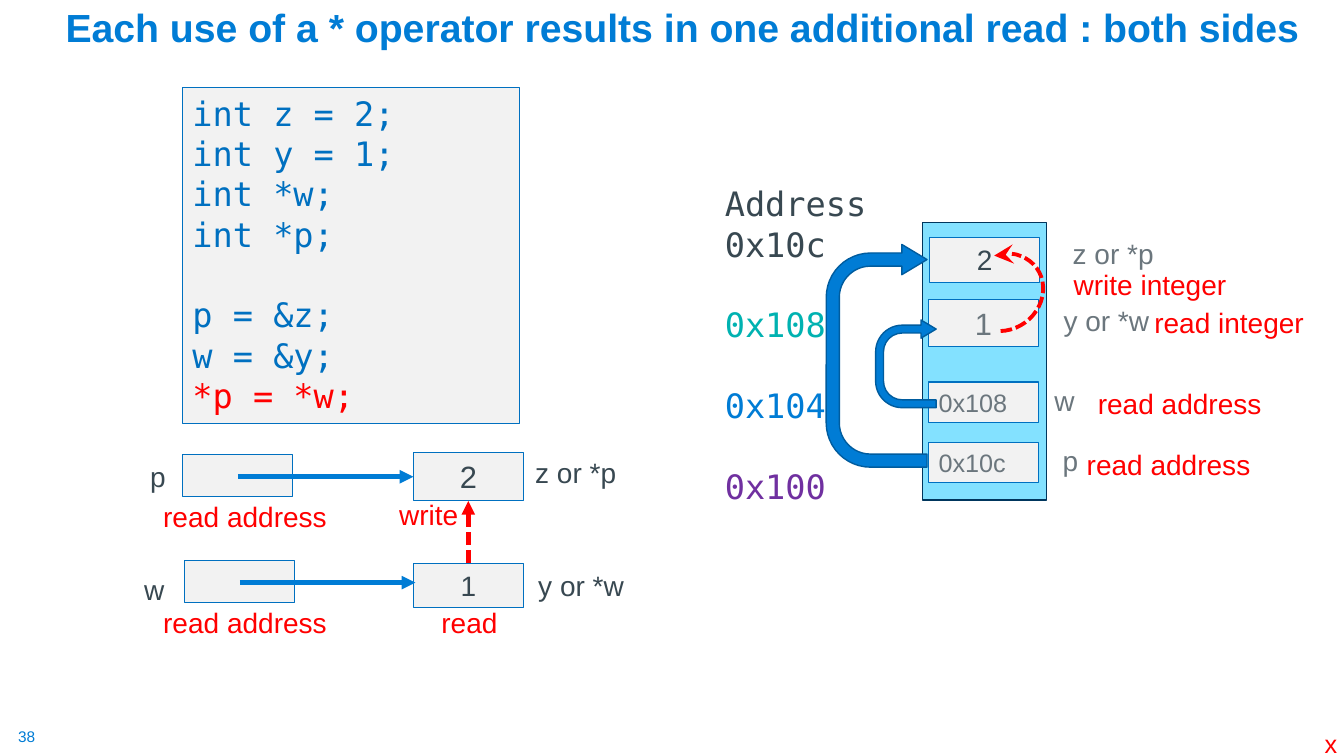
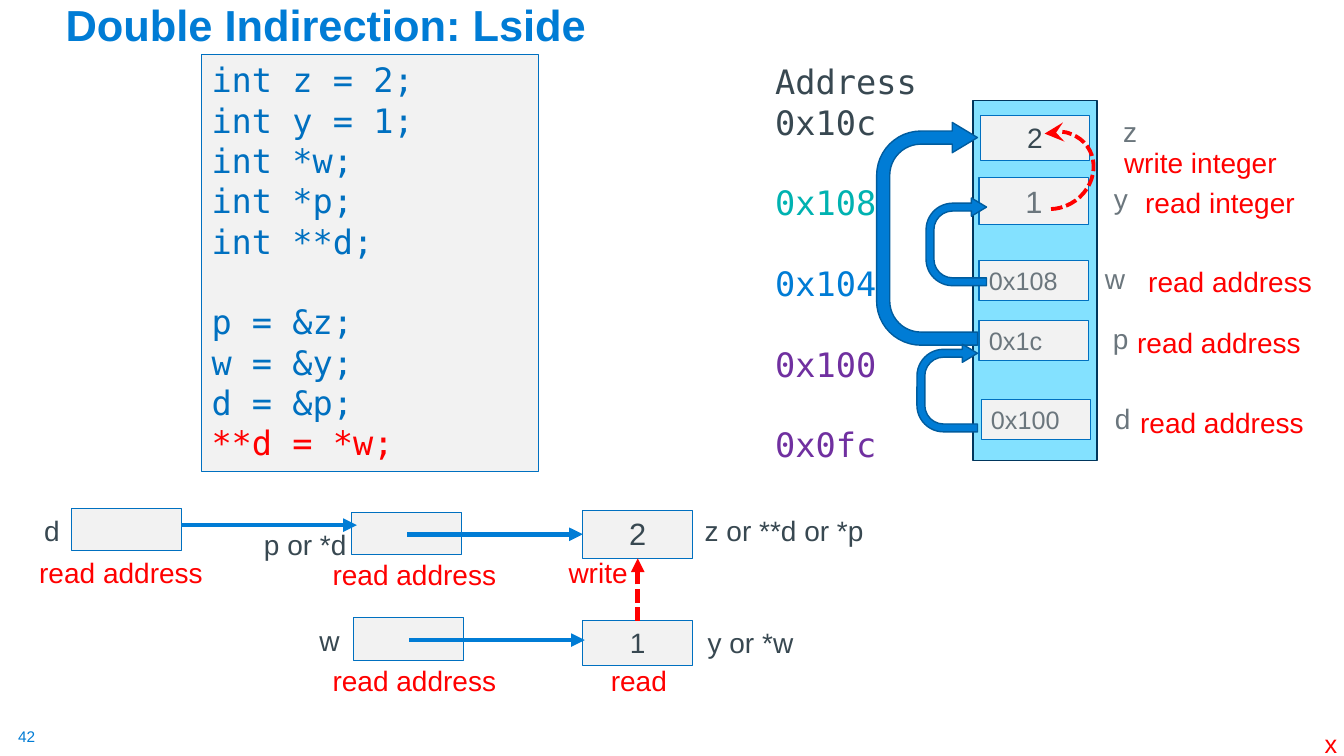
from lxml import etree
from pptx import Presentation
from pptx.dml.color import RGBColor
from pptx.enum.dml import MSO_LINE
from pptx.enum.shapes import MSO_CONNECTOR, MSO_SHAPE
from pptx.enum.text import MSO_ANCHOR, MSO_AUTO_SIZE, PP_ALIGN
from pptx.oxml.ns import qn
from pptx.util import Emu, Pt

RECT, ARC, UTURN = MSO_SHAPE.RECTANGLE, MSO_SHAPE.ARC, MSO_SHAPE.U_TURN_ARROW
STRAIGHT, DASH = MSO_CONNECTOR.STRAIGHT, MSO_LINE.SQUARE_DOT
TOP, BOTTOM = MSO_ANCHOR.TOP, MSO_ANCHOR.BOTTOM
LEFT, CENTER = PP_ALIGN.LEFT, PP_ALIGN.CENTER
NO_FIT = MSO_AUTO_SIZE.NONE

BLUE = RGBColor(0x00, 0x7C, 0xD5)
DEEP = RGBColor(0x00, 0x5C, 0x9E)
NAVY = RGBColor(0x00, 0x36, 0x5D)
EDGE = RGBColor(0x00, 0x70, 0xC0)
SKY = RGBColor(0x83, 0xE1, 0xFF)
PALE = RGBColor(0xF2, 0xF2, 0xF2)
RED = RGBColor(0xFF, 0x00, 0x00)
DARK = RGBColor(0x38, 0x48, 0x51)
GREY = RGBColor(0x6B, 0x76, 0x7D)
TEAL = RGBColor(0x00, 0xB2, 0xB1)
PURPLE = RGBColor(0x70, 0x30, 0xA0)

SANS, MONO = "Arial", "DejaVu Sans Mono"
PITCH = Pt(28.8)
CELL_W = 109
WIDTHS = {
    "read address": 184, "read integer": 170, "write integer": 173,
    "read": 76, "write": 79, "p": 36, "w": 41, "d": 36, "y": 34, "z": 34,
    "y or *w": 106, "z or *p": 101, "p or *d": 103, "z or **d or *p": 179,
}


def px(n):
    return Emu(n * 9144)


def box(*sides):
    return [px(n) for n in sides]


def style(para, size, color, font=SANS):
    para.font.size = Pt(size)
    para.font.name = font
    para.font.color.rgb = color


def text(shapes, words, x, y, w, h, size, color):
    frame = shapes.add_textbox(*box(x, y, w, h)).text_frame
    frame.text = words
    style(frame.paragraphs[0], size, color)
    return frame


def label(shapes, words, x, y, color):
    text(shapes, words, x, y, WIDTHS[words], 44, 20, color)


def solid(shapes, kind, x, y, w, h, fill, edge, weight):
    shape = shapes.add_shape(kind, *box(x, y, w, h))
    shape.shadow.inherit = False
    shape.fill.solid()
    shape.fill.fore_color.rgb = fill
    shape.line.color.rgb = edge
    shape.line.width = Pt(weight)
    shape.text_frame.vertical_anchor = TOP
    return shape


def cell(shapes, x, y, h, words="", size=18, color=GREY, align=CENTER):
    shape = solid(shapes, RECT, x, y, CELL_W, h, PALE, EDGE, 0.75)
    if words:
        shape.text_frame.text = words
        para = shape.text_frame.paragraphs[0]
        para.alignment = align
        style(para, size, color)
    return shape


def listing(frame, lines):
    """Fill a frame with (words, colour) lines; None leaves a line's gap."""
    para, gap = frame.paragraphs[0], False
    for line in lines:
        if line is None:
            gap = True
            continue
        if para.text:
            para = frame.add_paragraph()
        para.text, color = line
        para.alignment = LEFT
        para.line_spacing = PITCH
        if gap:
            para.space_before = PITCH
        gap = False
        style(para, 24, color, MONO)


def code(shapes, x, y, h, lines):
    """Show code whose last line is the one in focus."""
    shape = solid(shapes, RECT, x, y, 334, h, PALE, EDGE, 0.75)
    rows = [line and (line, EDGE) for line in lines[:-1]]
    listing(shape.text_frame, rows + [(lines[-1], RED)])


def stroke(shape, color, weight, head, size="med", dash=None):
    shape.line.color.rgb = color
    shape.line.width = Pt(weight)
    if dash:
        shape.line.dash_style = dash
    line = shape._element.spPr.find(qn("a:ln"))
    etree.SubElement(line, qn("a:tailEnd"), type=head, w=size, len=size)


def arrow(shapes, x1, y1, x2, y2, color=BLUE, dash=None):
    link = shapes.add_connector(STRAIGHT, *box(x1, y1, x2, y2))
    stroke(link, color, 3.25, "triangle", dash=dash)
    etree.SubElement(link._element.spPr, qn("a:effectLst"))
    return link


def turn(shape, angle, *flips):
    shape.rotation = angle
    for flip in flips:
        shape._element.spPr.find(qn("a:xfrm")).set(flip, "1")


def adjust(shape, *values):
    for i, value in enumerate(values):
        shape.adjustments[i] = value


def loop(shapes, x, y, w, h):
    """Bent block arrow from a pointer up to its target."""
    shape = solid(shapes, UTURN, x, y, w, h, BLUE, DEEP, 1)
    adjust(shape, 0.13, 0.15, 0.25, 0.44, 1)
    turn(shape, 90, "flipH", "flipV")


def curve(shapes, x, y):
    """Dashed arc from the value read up to the value written."""
    shape = shapes.add_shape(ARC, *box(x, y, 74, 82))
    shape.shadow.inherit = False
    shape.fill.background()
    adjust(shape, 84.2, 202.76)
    turn(shape, 54.1, "flipH")
    stroke(shape, RED, 2.75, "stealth", "lg", DASH)


def memory(shapes, x, y, h, names, target, note, extra=()):
    """Memory column with its cells, pointers, addresses and labels."""
    solid(shapes, RECT, x, y, 123, h, SKY, NAVY, 1)
    cell(shapes, x + 6, y + 158, 40, "0x108", align=LEFT)
    cell(shapes, x + 6, y + 76, 47, "1", 22)
    cell(shapes, x + 7, y + 15, 44, "2", 20, DARK)
    curve(shapes, x + 43, y + 28)
    loop(shapes, x - 60, y + 110, 87, 60)
    cell(shapes, x + 6, y + 218, 40, target, align=LEFT)
    loop(shapes, x - 156, y + 82, 221, 100)
    spots = ((139, 9), (130, 75), (121, 155), (129, 214))
    for name, (dx, dy) in zip(names, spots):
        label(shapes, name, x + dx, y + dy, GREY)
    notes = (("write integer", 140, 39), ("read integer", *note),
             ("read address", 164, 158), ("read address", 153, 218))
    for words, dx, dy in notes:
        label(shapes, words, x + dx, y + dy, RED)

    rows = [("Address", DARK), ("0x10c", DARK)]
    for row in (("0x108", TEAL), ("0x104", BLUE), ("0x100", PURPLE), *extra):
        rows += [None, row]
    frame = text(shapes, "", x - 206, y - 44, 169, 333 + 81 * len(extra),
                 24, DARK)
    listing(frame, rows)


def flow(shapes, x, y, tags):
    """Pointer cells p and w with the values they lead to."""
    cell(shapes, x, y, 42)
    cell(shapes, x + 2, y + 105, 42)
    two = cell(shapes, x + 229, y - 2, 48, "2", 22, DARK)
    one = cell(shapes, x + 229, y + 108, 44, "1", 20, DARK)
    arrow(shapes, x + 55, y + 22, x + 229, y + 22).end_connect(two, 1)
    arrow(shapes, x + 57, y + 127, x + 231, y + 127)
    copy = arrow(shapes, x + 283, y + 108, x + 283, y + 46, RED, DASH)
    copy.begin_connect(one, 0)
    copy.end_connect(two, 2)
    for words, dx, dy in (*tags, ("y or *w", 343, 108)):
        label(shapes, words, x + dx, y + dy, DARK)
    for words, dx, dy in (("read address", -29, 40), ("read address", -29, 145),
                          ("read", 247, 145), ("write", 205, 38)):
        label(shapes, words, x + dx, y + dy, RED)


def start(deck, title, size, width, number):
    """Add a slide with its title, page number and corner mark."""
    shapes = deck.slides.add_slide(deck.slide_layouts[5]).shapes
    head = shapes.title
    head.left, head.top, head.width, head.height = box(55, 13, width, 43)
    frame = head.text_frame
    frame.text = title
    frame.auto_size = NO_FIT
    frame.word_wrap = True
    frame.vertical_anchor = BOTTOM
    para = frame.paragraphs[0]
    para.alignment = LEFT
    para.line_spacing = 0.9
    style(para, size, BLUE)
    para.font.bold = True
    page = text(shapes, number, 18, 721, 19, 19, 11, BLUE)
    page.margin_left = page.margin_right = 0
    page.margin_top = page.margin_bottom = 0
    text(shapes, "x", 1304, 718, 33, 40, 18, RED)
    return shapes


def both(deck):
    shapes = start(
        deck,
        "Each use of a * operator results in one additional read : both sides",
        28, 1270, "38")
    code(shapes, 181, 87, 333,
         ["int z = 2;", "int y = 1;", "int *w;", "int *p;", None,
          "p = &z;", "w = &y;", "*p = *w;"])
    flow(shapes, 181, 451,
         (("p", -42, 0), ("w", -48, 112), ("z or *p", 340, -4)))
    memory(shapes, 915, 221, 275, ("z or *p", "y or *w", "w", "p"),
           "0x10c", (220, 77))


def double(deck):
    shapes = start(deck, "Double Indirection: Lside", 31, 1202, "42")
    code(shapes, 200, 54, 414,
         ["int z = 2;", "int y = 1;", "int *w;", "int *p;", "int **d;", None,
          "p = &z;", "w = &y;", "d = &p;", "**d = *w;"])
    memory(shapes, 965, 100, 357, ("z", "y", "w", "p"),
           "0x1c", (161, 79), [("0x0fc", PURPLE)])
    cell(shapes, 973, 396, 40, "0x100", align=LEFT)
    label(shapes, "d", 1096, 393, GREY)
    label(shapes, "read address", 1121, 397, RED)
    loop(shapes, 896, 355, 87, 60)

    flow(shapes, 349, 508,
         (("p or *d", -97, 10), ("w", -42, 106), ("z or **d or *p", 340, -3)))
    cell(shapes, 71, 504, 42)
    label(shapes, "d", 34, 505, DARK)
    label(shapes, "read address", 29, 546, RED)
    arrow(shapes, 180, 521, 354, 521)


def main():
    deck = Presentation()
    deck.slide_width, deck.slide_height = box(1333, 750)
    both(deck)
    double(deck)
    deck.save("out.pptx")


if __name__ == "__main__":
    main()
